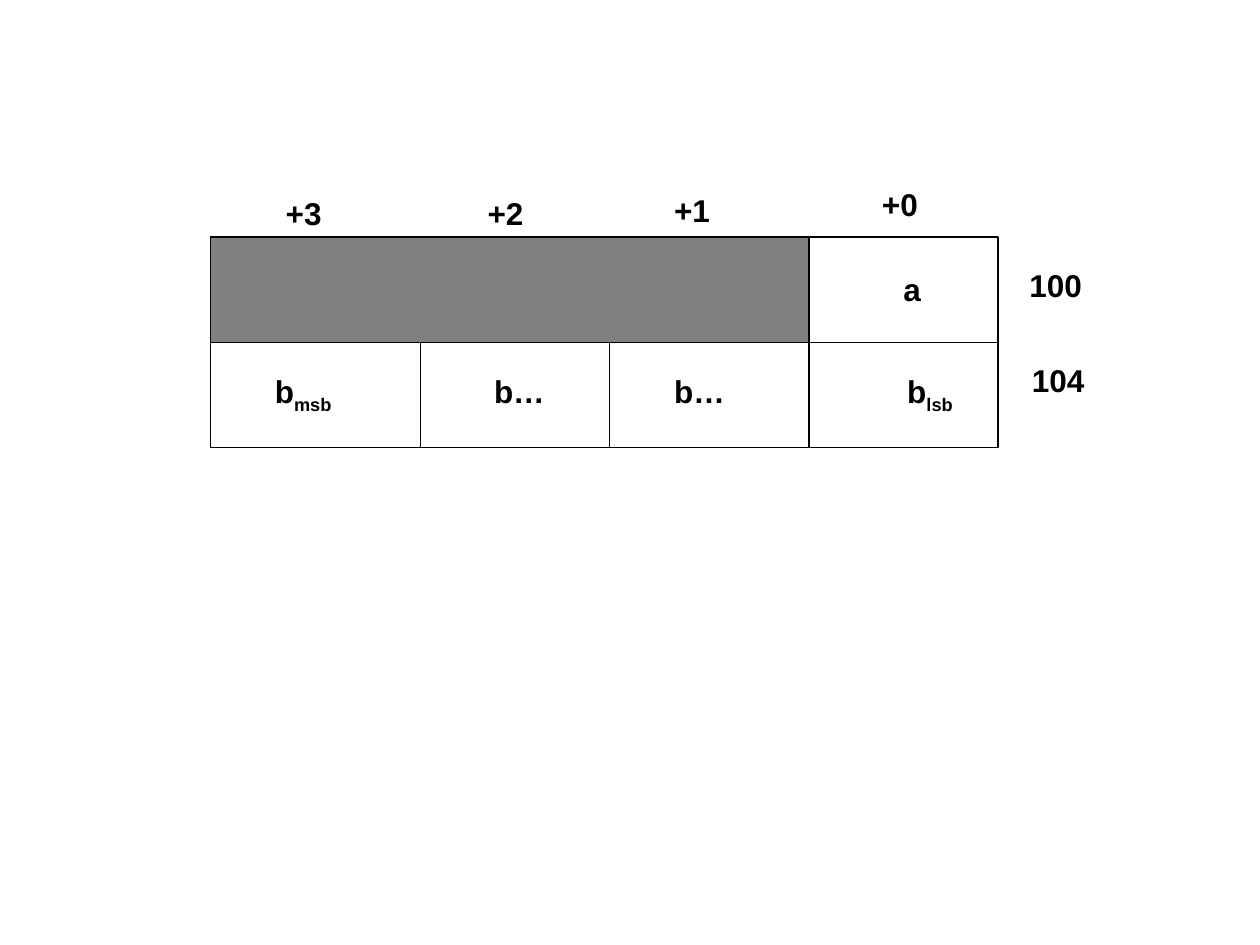
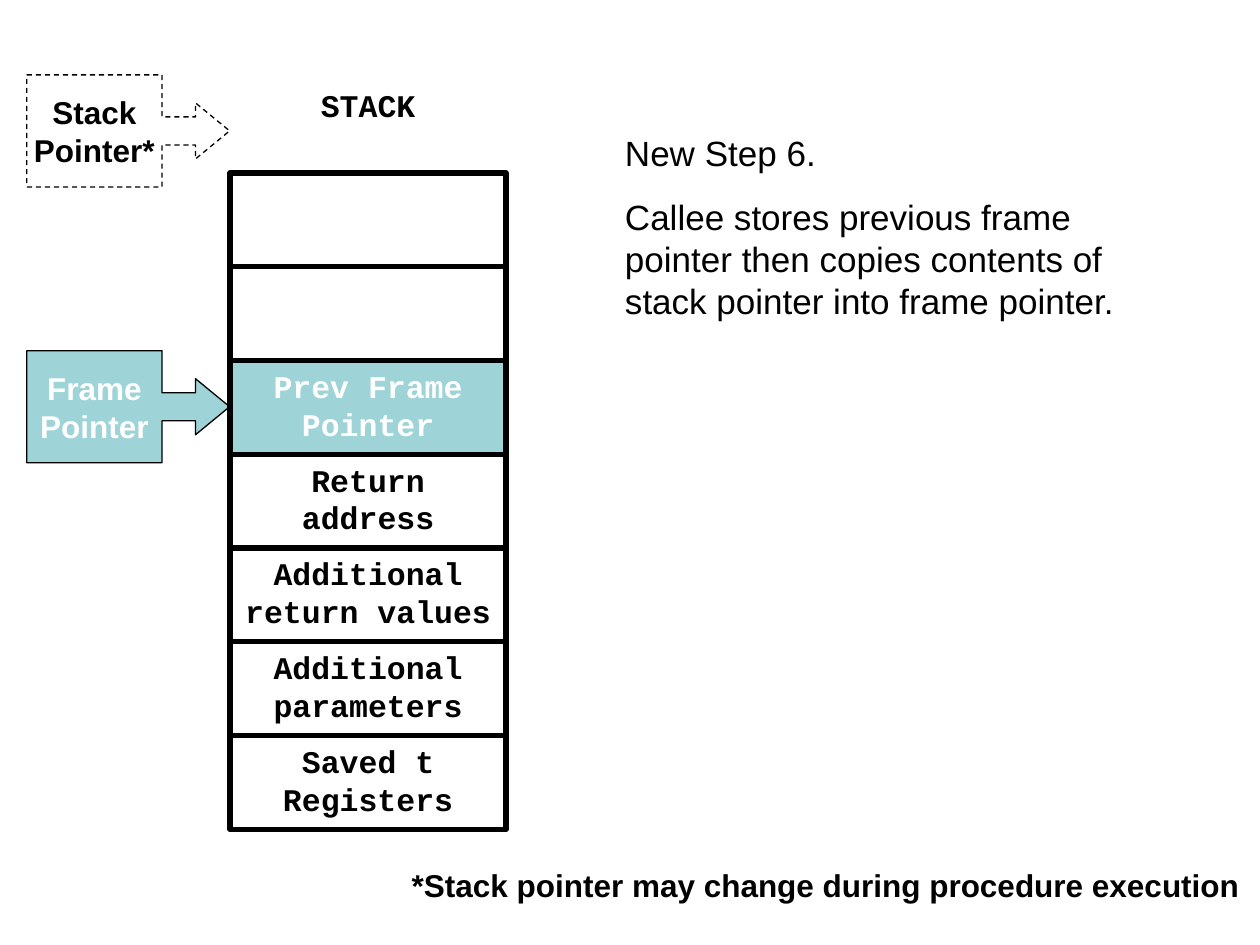
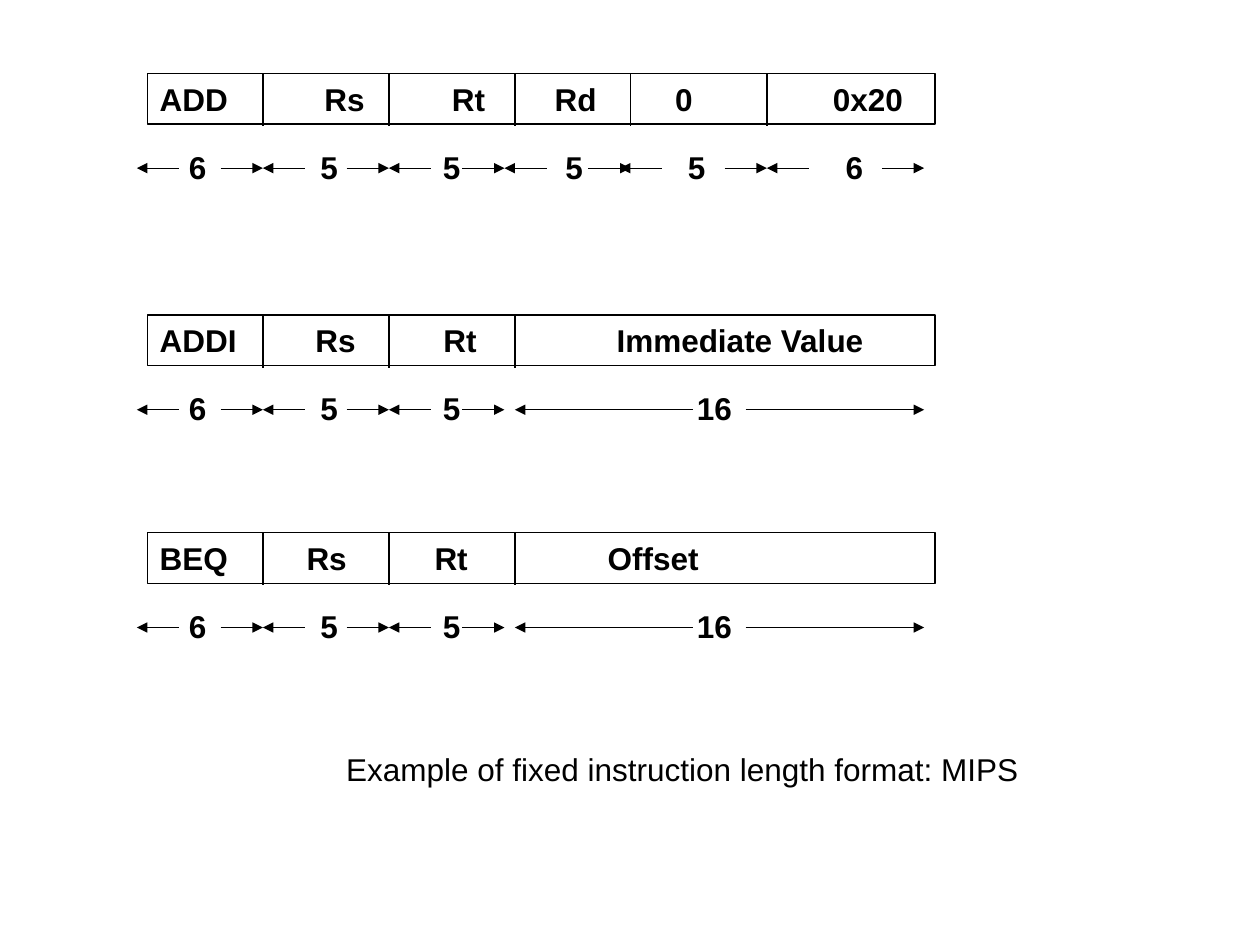
import pptx
import pptx.util
import pptx.dml.color
import pptx.enum.dml
import pptx.enum.shapes
import pptx.enum.text
import pptx.oxml.ns
import lxml.etree

Cm = pptx.util.Cm
Pt = pptx.util.Pt
qn = pptx.oxml.ns.qn
SHAPES = pptx.enum.shapes.MSO_SHAPE
ALIGN = pptx.enum.text.PP_ALIGN
ANCHOR = pptx.enum.text.MSO_ANCHOR

COLORS = {"ink": "000000", "unused": "808080", "frame": "9ED3D7", "light": "FFFFFF"}
SANS = "Arial"
MONO = "Courier New"
THIN = 0.75
THICK = 3

MEMORY_EDGES = [0, 4.23, 8.04, 12.07, 15.88]
MEMORY_ROW_HEIGHT = 2.12
OFFSET_LABELS = [("+3", 1.27, -1.0), ("+2", 5.34, -1.0),
                 ("+1", 9.1, -1.05), ("+0", 13.29, -1.17)]
BYTE_LABELS = [("a", "", 13.72, 0.53), ("b", "msb", 1.05, 2.59), ("b…", "", 5.47, 2.59),
               ("b…", "", 9.1, 2.59), ("b", "lsb", 13.8, 2.59)]
ADDRESS_LABELS = [("100", 16.26, 0.46), ("104", 16.31, 2.38)]

STACK_CELLS = ["", "", "Prev Frame\nPointer", "Return address",
               "Additional return values", "Additional parameters", "Saved t Registers"]
FRAME_CELL = 2
CELL_HEIGHT = 1.89

OPCODE_SPANS = [(-0.21, 2.33), (2.33, 4.87), (4.87, 7.2)]
REGISTER_SPANS = OPCODE_SPANS + [(7.2, 9.74), (9.53, 12.49), (12.49, 15.66)]
WIDE_SPANS = OPCODE_SPANS + [(7.41, 15.66)]
WIDE_COUNTS = ["6", "5", "5", "16"]
WIDE_COUNT_TABS = [2.65, 5.12, 10.24]
SHORT_ARROW = 0.85
LONG_ARROW = 3.6
INSTRUCTIONS = [
    {"top": 1.48, "fields": ["ADD", "Rs", "Rt", "Rd", "0", "0x20"],
     "field_tabs": [3.32, 5.89, 7.96, 10.39, 13.57],
     "dividers": [2.33, 4.87, 7.41, 9.74, 12.49],
     "counts": ["6", "5", "5", "5", "5", "6"],
     "count_tabs": [2.65, 5.12, 7.59, 10.06, 13.24], "spans": REGISTER_SPANS},
    {"top": 6.35, "fields": ["ADDI", "Rs", "Rt", "Immediate Value"],
     "field_tabs": [3.14, 5.72, 9.21], "dividers": [2.33, 4.87, 7.41],
     "counts": WIDE_COUNTS, "count_tabs": WIDE_COUNT_TABS, "spans": WIDE_SPANS},
    {"top": 10.74, "fields": ["BEQ", "Rs", "Rt", "Offset"],
     "field_tabs": [2.96, 5.54, 9.03], "dividers": [2.33, 4.87, 7.41],
     "counts": WIDE_COUNTS, "count_tabs": WIDE_COUNT_TABS, "spans": WIDE_SPANS},
]


def rgb(color):
    return pptx.dml.color.RGBColor.from_string(COLORS[color])


def set_tabs(paragraph, positions):
    tab_list = lxml.etree.SubElement(paragraph._p.get_or_add_pPr(), qn("a:tabLst"))
    for position in positions:
        lxml.etree.SubElement(tab_list, qn("a:tab"), pos=str(Cm(position)), algn="l")


def format_run(run, font=SANS, size=18, bold=True, color="ink"):
    run.font.name = font
    run.font.size = Pt(size)
    run.font.bold = bold
    run.font.color.rgb = rgb(color)


def write_text(shape, text, align=ALIGN.LEFT, wrap=True, tabs=(), **style):
    text_frame = shape.text_frame
    text_frame.text = text
    text_frame.word_wrap = wrap
    for paragraph in text_frame.paragraphs:
        paragraph.alignment = align
        if tabs:
            set_tabs(paragraph, tabs)
        for run in paragraph.runs:
            format_run(run, **style)


def add_text(slide, text, left, top, width, height=1.02, **style):
    text_box = slide.shapes.add_textbox(Cm(left), Cm(top), Cm(width), Cm(height))
    write_text(text_box, text, **style)
    return text_box


def add_subscript(text_box, text):
    run = text_box.text_frame.paragraphs[0].add_run()
    run.text = text
    format_run(run)
    run._r.get_or_add_rPr().set("baseline", "-25000")


def add_box(slide, left, top, width, height, fill=None, line_width=THIN,
            kind=SHAPES.RECTANGLE):
    shape = slide.shapes.add_shape(kind, Cm(left), Cm(top), Cm(width), Cm(height))
    shape.shadow.inherit = False
    if fill:
        shape.fill.solid()
        shape.fill.fore_color.rgb = rgb(fill)
    else:
        shape.fill.background()
    shape.line.color.rgb = rgb("ink")
    shape.line.width = Pt(line_width)
    shape.text_frame.vertical_anchor = ANCHOR.TOP
    return shape


def add_line(slide, start_x, start_y, end_x, end_y, arrow_end=None):
    connector = slide.shapes.add_connector(
        pptx.enum.shapes.MSO_CONNECTOR.STRAIGHT,
        Cm(start_x), Cm(start_y), Cm(end_x), Cm(end_y))
    connector.line.color.rgb = rgb("ink")
    connector.line.width = Pt(THIN)
    properties = connector._element.spPr
    if arrow_end:
        outline = properties.find(qn("a:ln"))
        lxml.etree.SubElement(outline, qn("a:" + arrow_end), type="triangle")
    lxml.etree.SubElement(properties, qn("a:effectLst"))


def draw_memory(slide, left, top):
    for row_top in (top, top + MEMORY_ROW_HEIGHT):
        add_box(slide, left, row_top, MEMORY_EDGES[-1], MEMORY_ROW_HEIGHT)
        for edge in MEMORY_EDGES[1:-1]:
            add_line(slide, left + edge, row_top, left + edge, row_top + MEMORY_ROW_HEIGHT)
    add_box(slide, left, top, MEMORY_EDGES[3], MEMORY_ROW_HEIGHT, "unused")
    for text, x, y in OFFSET_LABELS + ADDRESS_LABELS:
        add_text(slide, text, left + x, top + y, 1.7)
    for text, subscript, x, y in BYTE_LABELS:
        text_box = add_text(slide, text, left + x, top + y, 2.39)
        if subscript:
            add_subscript(text_box, subscript)


def draw_pointer(slide, text, left, top, fill=None, color="ink", dashed=False):
    callout = add_box(slide, left, top, 4.09, 2.26, fill, kind=SHAPES.RIGHT_ARROW_CALLOUT)
    for index, value in enumerate((0.25, 0.25, 0.304, 0.667)):
        callout.adjustments[index] = value
    if dashed:
        callout.line.dash_style = pptx.enum.dml.MSO_LINE.DASH
    callout.text_frame.vertical_anchor = ANCHOR.MIDDLE
    write_text(callout, text, color=color, align=ALIGN.CENTER, wrap=False)


def draw_stack(slide, left, top, width):
    add_text(slide, "STACK", left, top - CELL_HEIGHT, width, CELL_HEIGHT,
             font=MONO, align=ALIGN.CENTER)
    for index, text in enumerate(STACK_CELLS):
        is_frame = index == FRAME_CELL
        cell = add_box(slide, left, top + index * CELL_HEIGHT, width, CELL_HEIGHT,
                       "frame" if is_frame else None, THICK)
        if text:
            write_text(cell, text, font=MONO, align=ALIGN.CENTER,
                       color="light" if is_frame else "ink")


def draw_step(slide, left, top, width):
    text_box = add_text(
        slide,
        "New Step 6.\nCallee stores previous frame pointer then copies contents of "
        "stack pointer into frame pointer.",
        left, top, width, 4.09, size=20, bold=False)
    text_box.text_frame.paragraphs[1].space_before = Pt(12.5)


def draw_instruction(slide, left, instruction):
    top = instruction["top"]
    row = add_box(slide, left, top, 15.88, 1.02)
    write_text(row, "\t".join(instruction["fields"]), tabs=instruction["field_tabs"])
    for divider in instruction["dividers"]:
        add_line(slide, left + divider, top, left + divider, top + 1.06)
    count_tabs = instruction["count_tabs"]
    add_text(slide, "\t".join(instruction["counts"]), left + 0.59, top + 1.37,
             count_tabs[-1] + 1.3, tabs=count_tabs)
    arrow_y = top + 1.91
    for start, end in instruction["spans"]:
        length = LONG_ARROW if end - start > 2 * LONG_ARROW else SHORT_ARROW
        add_line(slide, left + start, arrow_y, left + start + length, arrow_y, "headEnd")
        add_line(slide, left + end - length, arrow_y, left + end, arrow_y, "tailEnd")


def build_memory_slide(slide):
    draw_memory(slide, 4.24, 4.78)


def build_stack_slide(slide):
    draw_step(slide, 12.35, 2.53, 11.84)
    draw_pointer(slide, "Stack\nPointer*", 0.54, 1.51, dashed=True)
    draw_pointer(slide, "Frame\nPointer", 0.54, 7.07, "frame", "light")
    draw_stack(slide, 4.64, 3.49, 5.56)
    add_text(slide, "*Stack pointer may change during procedure execution",
             8.05, 17.34, 17.2, wrap=False)


def build_format_slide(slide):
    for instruction in INSTRUCTIONS:
        draw_instruction(slide, 2.97, instruction)
    add_text(slide, "Example of fixed instruction length format: MIPS",
             6.73, 14.99, 14.4, bold=False)


def main():
    presentation = pptx.Presentation()
    presentation.slide_width = Cm(25.4)
    presentation.slide_height = Cm(19.05)
    blank_layout = presentation.slide_layouts[6]
    for build_slide in (build_memory_slide, build_stack_slide, build_format_slide):
        build_slide(presentation.slides.add_slide(blank_layout))
    presentation.save("out.pptx")


if __name__ == "__main__":
    main()
